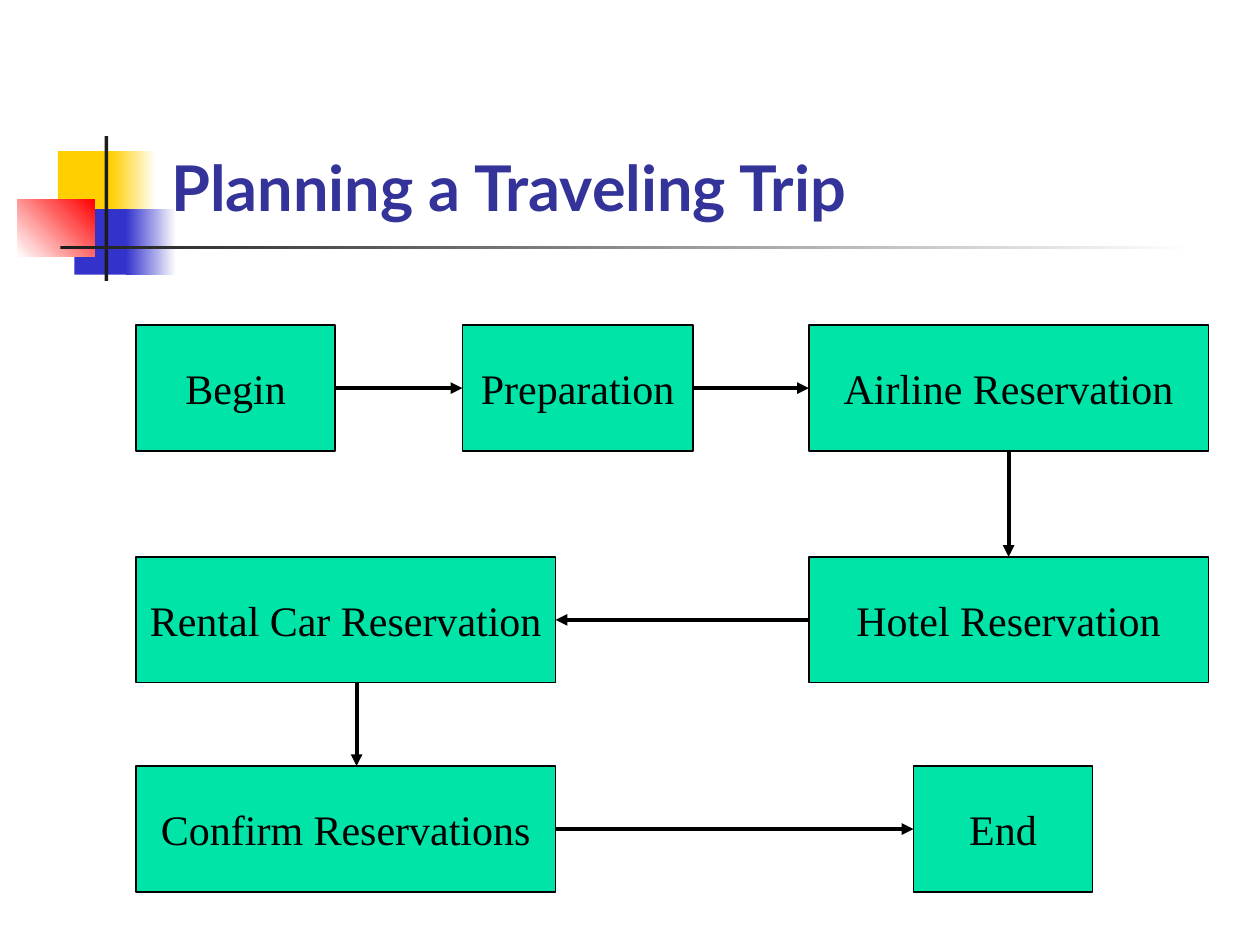
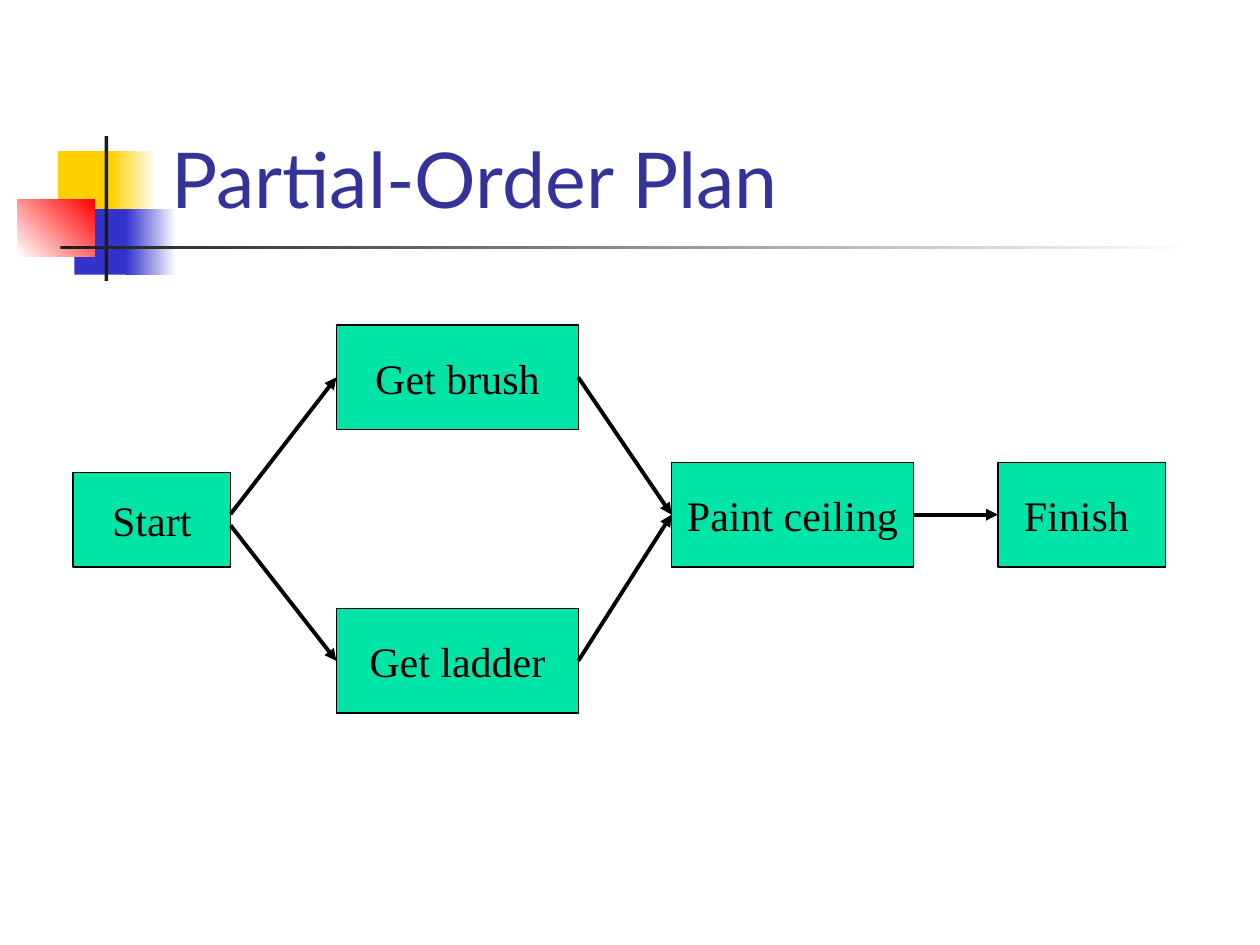
from lxml.etree import SubElement
from pptx import Presentation
from pptx.dml.color import RGBColor
from pptx.enum.shapes import MSO_CONNECTOR as Connector, MSO_SHAPE as Shape
from pptx.enum.text import MSO_ANCHOR as Anchor, PP_ALIGN as Align
from pptx.oxml.ns import qn
from pptx.util import Inches, Pt

COLORS = {
    "title": "333399",
    "step": "00E4A8",
    "ink": "000000",
    "yellow": "FFCF01",
    "blue": "3333CC",
    "red": "FF0000",
    "rule": "1C1C1C",
    "white": "FFFFFF",
}
TITLE_FONT = "Lato"
STEP_FONT = "Times New Roman"
TOP, LEFT, BOTTOM, RIGHT = range(4)


def rgb(name):
    return RGBColor.from_string(COLORS[name])


def add_rectangle(slide, left, top, width, height):
    box = slide.shapes.add_shape(
        Shape.RECTANGLE, Inches(left), Inches(top), Inches(width), Inches(height)
    )
    box.shadow.inherit = False
    return box


def add_ornament(slide, bounds, color, fade_to=None, angle=0):
    """Borderless block; fade_to turns the fill into a gradient, angle counter-clockwise."""
    block = add_rectangle(slide, *bounds)
    block.line.fill.background()
    if fade_to is None:
        block.fill.solid()
        block.fill.fore_color.rgb = rgb(color)
        return
    block.fill.gradient()
    block.fill.gradient_angle = angle
    for stop, name in zip(block.fill.gradient_stops, (color, fade_to)):
        stop.color.rgb = rgb(name)


def add_ornaments(slide):
    add_ornament(slide, (0.46, 1.2, 0.48, 0.52), "yellow")
    add_ornament(slide, (0.88, 1.2, 0.36, 0.52), "yellow", "white")
    add_ornament(slide, (0.59, 1.66, 0.46, 0.52), "blue")
    add_ornament(slide, (1, 1.66, 0.4, 0.52), "blue", "white")
    add_ornament(slide, (0.14, 1.58, 0.61, 0.46), "white", "red", angle=45)
    add_ornament(slide, (0.83, 1.08, 0.03, 1.15), "rule")
    add_ornament(slide, (0.48, 1.95, 9, 0.03), "rule", "white")


def add_text(para, text, font, size, color, bold=False):
    span = para.add_run()
    span.text = text
    span.font.name = font
    span.font.size = Pt(size)
    span.font.bold = bold
    span.font.color.rgb = rgb(color)


def add_title(slide, text, bounds, size, bold=False):
    box = slide.shapes.add_textbox(*map(Inches, bounds))
    frame = box.text_frame
    frame.word_wrap = True
    frame.vertical_anchor = Anchor.BOTTOM
    add_text(frame.paragraphs[0], text, TITLE_FONT, size, "title", bold)


def add_step(slide, text, left, top, width, height):
    box = add_rectangle(slide, left, top, width, height)
    box.fill.solid()
    box.fill.fore_color.rgb = rgb("step")
    box.line.color.rgb = rgb("ink")
    box.line.width = Pt(0.75)
    frame = box.text_frame
    frame.word_wrap = False
    frame.vertical_anchor = Anchor.MIDDLE
    para = frame.paragraphs[0]
    para.alignment = Align.CENTER
    add_text(para, text, STEP_FONT, 24, "ink")
    return box


def add_arrow(slide, start=(0, 0), end=(0, 0)):
    arrow = slide.shapes.add_connector(Connector.STRAIGHT, *map(Inches, start + end))
    arrow.line.color.rgb = rgb("ink")
    arrow.line.width = Pt(2.25)
    SubElement(arrow.line._get_or_add_ln(), qn("a:tailEnd"), type="triangle")
    SubElement(arrow._element.spPr, qn("a:effectLst"))
    return arrow


def join(slide, source, source_side, target, target_side):
    arrow = add_arrow(slide)
    arrow.begin_connect(source, source_side)
    arrow.end_connect(target, target_side)


def add_page(deck):
    page = deck.slides.add_slide(deck.slide_layouts[6])
    add_ornaments(page)
    return page


def build_trip_page(deck):
    page = add_page(deck)
    add_title(page, "Planning a Traveling Trip", (1.26, 1.08, 6.82, 0.75), 36, bold=True)
    first_row, second_row, third_row = 2.58, 4.42, 6.08
    height = 1
    begin = add_step(page, "Begin", 1.08, first_row, 1.58, height)
    preparation = add_step(page, "Preparation", 3.67, first_row, 1.83, height)
    airline = add_step(page, "Airline Reservation", 6.42, first_row, 3.17, height)
    hotel = add_step(page, "Hotel Reservation", 6.42, second_row, 3.17, height)
    rental = add_step(page, "Rental Car Reservation", 1.08, second_row, 3.33, height)
    confirm = add_step(page, "Confirm Reservations", 1.08, third_row, 3.33, height)
    end = add_step(page, "End", 7.25, third_row, 1.42, height)

    join(page, begin, RIGHT, preparation, LEFT)
    join(page, preparation, RIGHT, airline, LEFT)
    join(page, airline, BOTTOM, hotel, TOP)
    join(page, hotel, LEFT, rental, RIGHT)
    add_arrow(page, (2.83, second_row + height), (2.83, third_row))
    join(page, confirm, RIGHT, end, LEFT)


def build_partial_order_page(deck):
    page = add_page(deck)
    add_title(page, "Partial-Order Plan", (1.26, 0.23, 8.52, 1.6), 44)
    height = 0.83
    add_step(page, "Start", 0.58, 3.75, 1.25, 0.75)
    brush = add_step(page, "Get brush", 2.67, 2.58, 1.92, height)
    ladder = add_step(page, "Get ladder", 2.67, 4.83, 1.92, height)
    paint = add_step(page, "Paint ceiling", 5.33, 3.67, 1.92, height)
    finish = add_step(page, "Finish ", 7.92, 3.67, 1.33, height)

    for tool, exit_height in ((brush, 4.08), (ladder, 4.17)):
        add_arrow(page, (1.83, exit_height)).end_connect(tool, LEFT)
        join(page, tool, RIGHT, paint, LEFT)
    join(page, paint, RIGHT, finish, LEFT)


def main():
    deck = Presentation()
    deck.slide_width = Inches(10)
    deck.slide_height = Inches(7.5)
    build_trip_page(deck)
    build_partial_order_page(deck)
    deck.save("out.pptx")


if __name__ == "__main__":
    main()
